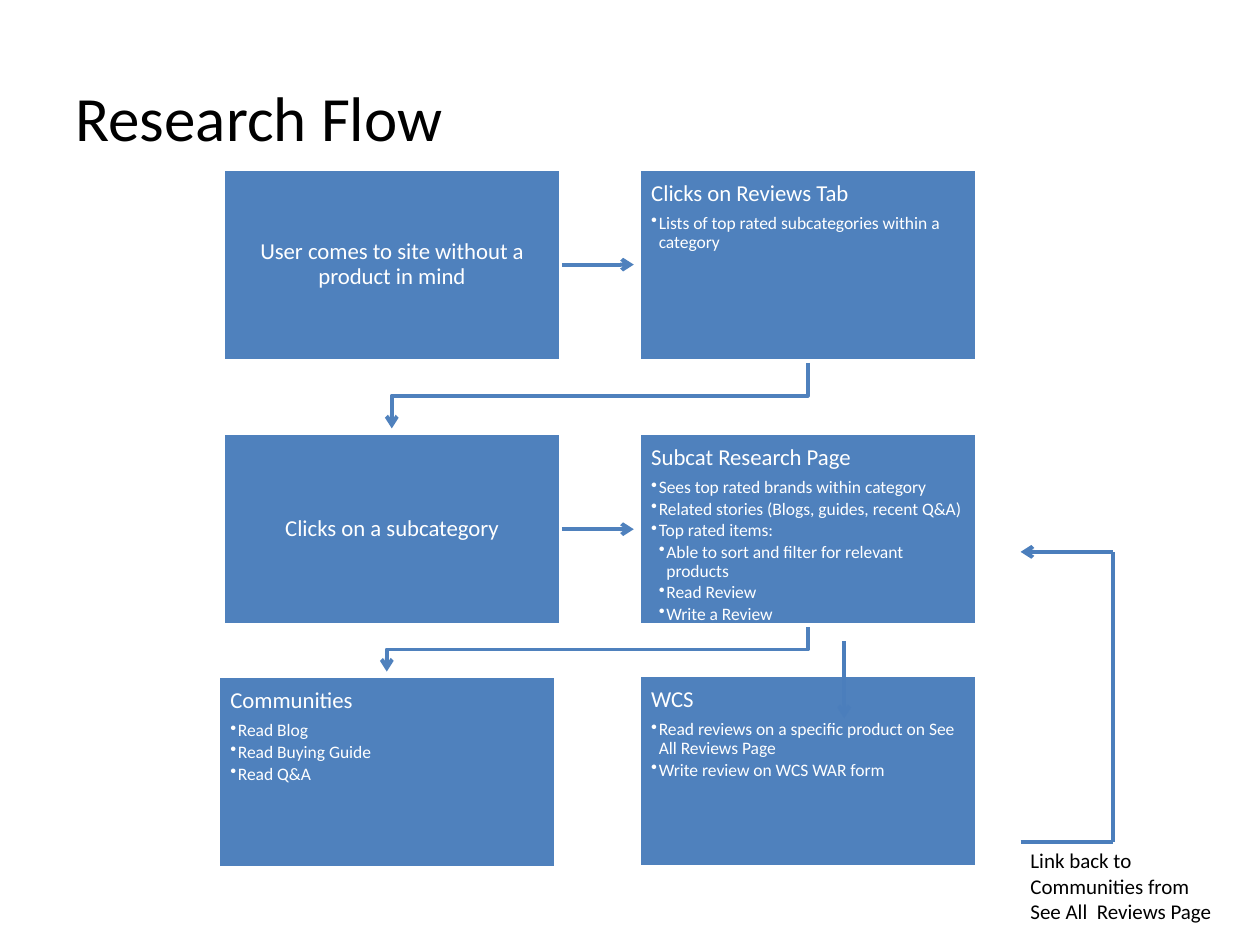
from dataclasses import dataclass
from itertools import pairwise

from pptx import Presentation
from pptx.dml.color import RGBColor
from pptx.enum.shapes import MSO_CONNECTOR as Conn, MSO_SHAPE as Kind
from pptx.enum.text import MSO_ANCHOR as Anchor, PP_ALIGN as Align
from pptx.oxml.ns import qn
from pptx.util import Inches, Pt
from lxml.etree import SubElement as sub

BLUE, EDGE, WHITE, BLACK = "4F81BD", "4B7EBC", "FFFFFF", "000000"

# Grid of boxes, in inches
LEFT, TOP = 1.77, 1.34
STEP_X, STEP_Y = 3.3, 2.1
WIDE, HIGH = 2.68, 1.52
GAP = 0.02

Point = tuple[float, float]


@dataclass
class Box:
    col: int
    row: int
    head: str
    items: tuple[tuple[int, str], ...] = ()
    dx: float = 0
    dy: float = 0

    @property
    def x(self) -> float:
        return LEFT + self.col * STEP_X + self.dx

    @property
    def y(self) -> float:
        return TOP + self.row * STEP_Y + self.dy

    @property
    def mid(self) -> Point:
        return self.x + WIDE / 2, self.y + HIGH / 2


def rgb(code: str) -> RGBColor:
    return RGBColor.from_string(code)


def write(frame, text: str, *, size: float, color: str, align=Align.LEFT,
          level: int = 0, after: float = 0, lead: float = 1.0, new=False) -> None:
    """Write one paragraph; a level above zero makes it a bullet."""
    para = frame.add_paragraph() if new else frame.paragraphs[0]
    para.alignment, para.line_spacing = align, lead
    para.space_before, para.space_after = Pt(0), Pt(after)
    if level:
        para.level = level
        props = para._p.get_or_add_pPr()
        props.set("marL", str(Inches(0.06 * level)))
        props.set("indent", str(Inches(-0.06)))
        sub(props, qn("a:buChar")).set("char", "•")
    run = para.add_run()
    run.text = text
    run.font.name, run.font.size = "Calibri", Pt(size)
    run.font.color.rgb = rgb(color)


def draw_box(slide, box: Box) -> None:
    shape = slide.shapes.add_shape(
        Kind.RECTANGLE, *map(Inches, (box.x, box.y, WIDE, HIGH)))
    shape.shadow.inherit = False
    shape.fill.solid()
    shape.fill.fore_color.rgb = rgb(BLUE)
    shape.line.color.rgb, shape.line.width = rgb(WHITE), Pt(2)
    frame = shape.text_frame
    frame.word_wrap = True
    frame.margin_left = frame.margin_right = Inches(0.1)
    frame.margin_top = frame.margin_bottom = Inches(0.1)
    frame.vertical_anchor = Anchor.TOP if box.items else Anchor.MIDDLE
    write(frame, box.head, size=13, color=WHITE, after=4.5, lead=0.9,
          align=Align.LEFT if box.items else Align.CENTER)
    for level, text in box.items:
        write(frame, text, size=10, color=WHITE, level=level, after=1.5,
              lead=0.9, new=True)


def ink(shape, color: str, tip: bool) -> None:
    shape.line.color.rgb, shape.line.width = rgb(color), Pt(2.25)
    if tip:
        sub(shape.line._get_or_add_ln(), qn("a:tailEnd")).set("type", "arrow")


def draw_lines(slide, points: list[Point], color: str) -> None:
    """Straight connectors from point to point, the last with a tip."""
    for start, end in pairwise(points):
        line = slide.shapes.add_connector(
            Conn.STRAIGHT, *map(Inches, (*start, *end)))
        ink(line, color, end == points[-1])
        sub(line._element.spPr, qn("a:effectLst"))


def draw_elbow(slide, start: Box, end: Box) -> None:
    """Bent arrow from the foot of one box to the top of the next."""
    x1, x2 = start.mid[0], end.mid[0]
    y1, y2 = start.y + HIGH + GAP, end.y - GAP * 2
    turn = (y1 + y2) / 2
    path = [(Inches(x), Inches(y))
            for x, y in ((x1, y1), (x1, turn), (x2, turn), (x2, y2))]
    pen = slide.shapes.build_freeform(*path[0], scale=1.0)
    pen.add_line_segments(path[1:], close=False)
    shape = pen.convert_to_shape()
    shape.fill.background()
    shape.shadow.inherit = False
    ink(shape, BLUE, True)


BOXES = [
    Box(0, 0, "User comes to site without a product in mind"),
    Box(1, 0, "Clicks on Reviews Tab",
        ((1, "Lists of top rated subcategories within a category"),)),
    Box(0, 1, "Clicks on a subcategory"),
    Box(1, 1, "Subcat Research Page", (
        (1, "Sees top rated brands within category"),
        (1, "Related stories (Blogs, guides, recent Q&A)"),
        (1, "Top rated items:"),
        (2, "Able to sort and filter for relevant products"),
        (2, "Read Review"),
        (2, "Write a Review"))),
    Box(0, 2, "Communities", (
        (1, "Read Blog"),
        (1, "Read Buying Guide"),
        (1, "Read Q&A")), dx=-0.04, dy=-0.17),
    Box(1, 2, "WCS", (
        (1, "Read reviews on a specific product on See All Reviews Page"),
        (1, "Write review on WCS WAR form")), dy=-0.18),
]


def main() -> None:
    deck = Presentation()
    deck.slide_width, deck.slide_height = Inches(10), Inches(7.5)
    slide = deck.slides.add_slide(deck.slide_layouts[5])

    # Title
    title = slide.shapes.title
    title.left, title.top = Inches(0.5), Inches(0.3)
    title.width, title.height = Inches(9), Inches(1.25)
    title.text_frame.vertical_anchor = Anchor.MIDDLE
    write(title.text_frame, "Research Flow", size=36, color=BLACK)

    # Boxes and the arrows between them
    for box in BOXES:
        draw_box(slide, box)
    for box, peer in ((BOXES[0], BOXES[1]), (BOXES[2], BOXES[3])):
        y = box.mid[1]
        draw_lines(slide, [(box.x + WIDE + GAP / 2, y),
                           (peer.x - GAP * 2, y)], BLUE)
    draw_elbow(slide, BOXES[1], BOXES[2])
    draw_elbow(slide, BOXES[3], BOXES[4])
    draw_lines(slide, [(6.7, 5.09), (6.7, 5.7)], EDGE)

    # Loop back and its note
    draw_lines(slide, [(8.1, 6.68), (8.83, 6.68), (8.83, 4.38), (8.1, 4.38)],
               EDGE)
    note = slide.shapes.add_textbox(*map(Inches, (8.08, 6.68, 1.73, 0.65)))
    note.text_frame.word_wrap = True
    write(note.text_frame, "Link back to Communities from See All  Reviews Page",
          size=12, color=BLACK)

    deck.save("out.pptx")


if __name__ == "__main__":
    main()
